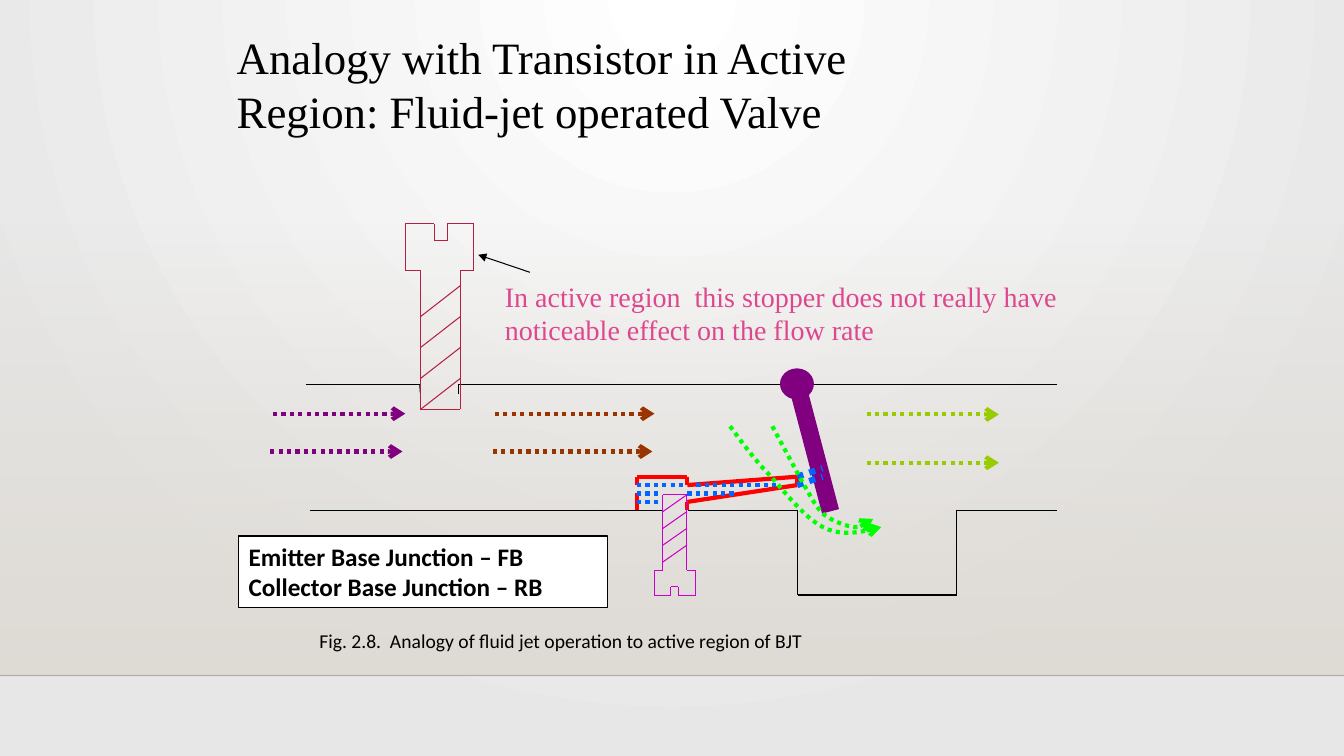
from dataclasses import dataclass
from itertools import pairwise

from pptx import Presentation
from pptx.dml.color import RGBColor
from pptx.enum.dml import MSO_LINE
from pptx.enum.shapes import MSO_CONNECTOR, MSO_SHAPE
from pptx.enum.text import MSO_AUTO_SIZE
from pptx.oxml import parse_xml
from pptx.oxml.ns import nsdecls, qn
from pptx.util import Pt

STRAIGHT = MSO_CONNECTOR.STRAIGHT
RECTANGLE, OVAL = MSO_SHAPE.RECTANGLE, MSO_SHAPE.OVAL
DOTTED = MSO_LINE.ROUND_DOT
NO_AUTOFIT = MSO_AUTO_SIZE.NONE


@dataclass(frozen=True)
class Theme:
    black: str = "000000"
    white: str = "FFFFFF"
    backdrop: str = "E7E7E7"
    haze: str = "DFDBD5"
    stopper: str = "B71E42"
    base_screw: str = "CC00CC"
    lever: str = "800080"
    pipe: str = "FF0000"
    jet: str = "0066FF"
    stream: str = "00FF00"
    inflow: str = "800080"
    midflow: str = "993300"
    outflow: str = "99CC00"
    remark: str = "DE478E"
    serif: str = "Times New Roman"
    sans: str = "Calibri"
    title_size: int = 32
    remark_size: int = 20
    label_size: int = 18
    caption_size: int = 14
    thin: float = 0.75
    thick: float = 3


THEME = Theme()


# Drawing helpers
def gradient(stops, direction):
    listed = "".join(
        f'<a:gs pos="{pos}"><a:srgbClr val="{color}"><a:alpha val="{alpha}"/></a:srgbClr></a:gs>'
        for pos, color, alpha in stops)
    return parse_xml(f'<a:gradFill {nsdecls("a")} rotWithShape="1">'
                     f'<a:gsLst>{listed}</a:gsLst>{direction}</a:gradFill>')


def swap_fill(parent, new_fill):
    parent.replace(parent.find(qn("a:solidFill")), new_fill)


def style_line(line, color, width, dash=None, **ends):
    line.color.rgb = RGBColor.from_string(color)
    line.width = Pt(width)
    if dash:
        line.dash_style = dash
    for end, kind in ends.items():
        line._get_or_add_ln().append(parse_xml(f'<a:{end} {nsdecls("a")} type="{kind}"/>'))


def to_slide(origin, points):
    return [(Pt(origin[0] + x), Pt(origin[1] + y)) for x, y in points]


def stroke(slide, origin, points, color, width=THEME.thin, **look):
    """Join points, given relative to origin, by straight lines; return the last one."""
    for start, end in pairwise(to_slide(origin, points)):
        side = slide.shapes.add_connector(STRAIGHT, *start, *end)
        style_line(side.line, color, width, **look)
        side.element.spPr.append(parse_xml(f'<a:effectLst {nsdecls("a")}/>'))
    return side


def solid(slide, kind, box, fill):
    drawn = slide.shapes.add_shape(kind, *map(Pt, box))
    drawn.shadow.inherit = False
    drawn.fill.solid()
    drawn.fill.fore_color.rgb = RGBColor.from_string(fill)
    drawn.line.fill.background()
    return drawn


def write(holder, lines, color, wrap=True, **font_format):
    frame = holder.text_frame
    frame.word_wrap, frame.auto_size = wrap, NO_AUTOFIT
    frame.text = "\n".join(lines)
    for paragraph in frame.paragraphs:
        paragraph.font.color.rgb = RGBColor.from_string(color)
        for name, value in font_format.items():
            setattr(paragraph.font, name, value)


def text_box(slide, box, lines, color, **text_format):
    write(slide.shapes.add_textbox(*map(Pt, box)), lines, color, **text_format)


def smooth_curve(start, *curves, steps=10):
    """Points along joined cubic curves, each given as (control, control, end)."""
    points = [start]
    for first, second, end in curves:
        begin = points[-1]
        for step in range(1, steps + 1):
            t = step / steps
            weights = (1 - t) ** 3, 3 * t * (1 - t) ** 2, 3 * t * t * (1 - t), t ** 3
            points.append(tuple(sum(w * p[axis] for w, p in zip(weights, (begin, first, second, end)))
                                for axis in (0, 1)))
    return points


# Backdrop: glow from the top, haze above the ground line
def draw_backdrop(slide, width, ground):
    slide.background.fill.solid()
    glow = '<a:path path="circle"><a:fillToRect l="43000" t="0" r="43000" b="100000"/></a:path>'
    swap_fill(slide.element.find(".//" + qn("p:bgPr")),
              gradient([(0, THEME.white, 100000), (100000, THEME.backdrop, 100000)], glow))
    haze = solid(slide, RECTANGLE, (0, 159, width, ground - 159), THEME.haze)
    swap_fill(haze.element.spPr,
              gradient([(0, THEME.haze, 0), (100000, THEME.haze, 100000)],
                       '<a:lin ang="5400000" scaled="0"/>'))
    edge = stroke(slide, (0, ground), [(0, 0), (width, 0)], THEME.black, 1)
    edge.element.spPr.find(".//" + qn("a:srgbClr")).append(
        parse_xml(f'<a:alpha {nsdecls("a")} val="20000"/>'))


# Channel walls, with a gap for each screw and a pocket behind the lever
def draw_channel(slide, box):
    left, top, width, height = box
    pocket_left, pocket_right, pocket_floor = 351.5, 465, height + 60.5
    walls = [
        [(0, 0), (81.5, 0), (82, 6.5)],
        [(109.5, 7), (109.5, 0), (128.5, 0), (279.5, 0)],
        [(267, 0), (width, 0)],
        [(3, height), (135.5, height), (255, height)],
        [(273, height), (pocket_left, height), (pocket_left, pocket_floor),
         (pocket_right, pocket_floor), (pocket_right, height), (width, height)],
    ]
    for wall in walls:
        stroke(slide, (left, top), wall, THEME.black)


# Slotted screw, head up or turned upside down
def draw_screw(slide, box, color, upside_down=False):
    left, top, width, height = box

    def place(x, y):
        return ((1 - x) * width, (1 - y) * height) if upside_down else (x * width, y * height)

    outline = [(0, 0), (0.42, 0), (0.42, 0.09), (0.61, 0.09), (0.61, 0), (1, 0), (1, 0.25),
               (0.8, 0.25), (0.8, 1), (0.22, 1), (0.22, 0.25), (0, 0.25), (0, 0)]
    stroke(slide, (left, top), [place(*corner) for corner in outline], color)
    for turn in range(4):
        thread = place(0.22, 1 - turn / 6), place(0.8, 1 - (turn + 1) / 6)
        stroke(slide, (left, top), thread, color)


# Lever hanging from its pivot
def draw_lever(slide, box):
    left, top, width, height = box
    pivot = solid(slide, OVAL, (left, top, width, height), THEME.lever)
    style_line(pivot.line, THEME.lever, THEME.thin)
    stroke(slide, (left + width / 2, top + height / 2), [(0, 0), (24, 91)], THEME.lever, 12.5)


# Base pipe and nozzle, with the fluid jet inside
def draw_nozzle(slide, box):
    left, top, length, height = box
    row, neck = height / 4, 36
    for wall in ([(0, row), (0, 0), (neck / 2, 0), (neck, 0), (neck, row), (length, 0),
                  (length, row), (neck, 3 * row), (neck, height)],
                 [(0, 2 * row), (0, height)]):
        stroke(slide, (left, top), wall, THEME.pipe, THEME.thick)
    for level, start, end in ((1, 0, 36), (1, 42.5, 102), (2, 36, 72), (2, 0, 18), (3, 0, 18)):
        stroke(slide, (left, top), [(start, level * row), (end, level * row)],
               THEME.jet, THEME.thick, dash=DOTTED)
    for level in (0, 1):
        stroke(slide, (left, top), [(length, level * row), (length + 18, (level - 1) * row)],
               THEME.jet, 4.5, dash=DOTTED)


# Streams deflected under the lever
def draw_streams(slide, origin):
    outer = smooth_curve((0, 0), ((6.5, 8.6), (13, 18), (23.8, 30.2)),
                         ((35.3, 41.8), (51.8, 64.8), (66.2, 72)),
                         ((79.9, 79.2), (94.3, 75.6), (108, 72)))
    inner = smooth_curve((30.2, 0), ((41.8, 21.6), (53.3, 43.2), (59.8, 54)),
                         ((67, 64.8), (67, 62.6), (72, 66.2)),
                         ((77, 69.1), (85, 72), (90, 72)),
                         ((95, 72), (98.6, 67), (102.2, 66.2)))
    for stream in (outer, inner):
        start, *rest = to_slide(origin, stream)
        builder = slide.shapes.build_freeform(*start)
        builder.add_line_segments(rest, close=False)
        flow = builder.convert_to_shape()
        flow.shadow.inherit = False
        flow.fill.background()
        style_line(flow.line, THEME.stream, THEME.thick, dash=DOTTED, tailEnd="arrow")


# Pair of flow arrows, the lower one shifted sideways
def draw_flow(slide, box, color, shift=0):
    left, top, length, gap = box
    for x, y in ((0, 0), (shift, gap)):
        stroke(slide, (left, top), [(x, y), (x + length, y)], color, THEME.thick,
               dash=DOTTED, tailEnd="arrow")


# Title, remark on the stopper, junction label and caption
def draw_texts(slide):
    text_box(slide, (162, 18, 638, 85),
             ["Analogy with Transistor in Active", "Region: Fluid-jet operated Valve"],
             THEME.black, name=THEME.serif, size=Pt(THEME.title_size))
    text_box(slide, (353.5, 196, 411, 55.5),
             ["In active region  this stopper does not really have",
              "noticeable effect on the flow rate"],
             THEME.remark, wrap=False, name=THEME.serif, size=Pt(THEME.remark_size))
    stroke(slide, (341.5, 182), [(0, 0), (37, 12.5)], THEME.black, headEnd="triangle")
    junctions = slide.shapes.add_textbox(*map(Pt, (170.5, 383, 263.5, 51)))
    junctions.fill.solid()
    junctions.fill.fore_color.rgb = RGBColor.from_string(THEME.white)
    style_line(junctions.line, THEME.black, 1)
    write(junctions, ["Emitter Base Junction – FB", "Collector Base Junction – RB"],
          THEME.black, name=THEME.sans, size=Pt(THEME.label_size), bold=True)
    text_box(slide, (221, 445.5, 445.5, 24.5),
             ["Fig. 2.8.  Analogy of fluid jet operation to active region of BJT"],
             THEME.black, name=THEME.sans, size=Pt(THEME.caption_size))


def main():
    deck = Presentation()
    deck.slide_width, deck.slide_height = Pt(960), Pt(540)
    slide = deck.slides.add_slide(deck.slide_layouts[6])
    draw_backdrop(slide, 960, 482.5)
    draw_channel(slide, (218.3, 274.5, 537, 90))
    draw_lever(slide, (557.5, 263.5, 23.5, 21.5))
    draw_screw(slide, (289.5, 160, 49, 132.5), THEME.stopper)
    draw_nozzle(slide, (455, 340.5, 114.5, 24))
    draw_streams(slide, (521.5, 304.5))
    draw_screw(slide, (467.5, 353.5, 29.5, 72), THEME.base_screw, upside_down=True)
    draw_flow(slide, (195, 295.5, 94.5, 27), THEME.inflow, shift=-2)
    draw_flow(slide, (353.5, 295.5, 114, 27), THEME.midflow, shift=-1.5)
    draw_flow(slide, (619, 296, 94.5, 34.5), THEME.outflow)
    draw_texts(slide)
    deck.save("out.pptx")


if __name__ == "__main__":
    main()
